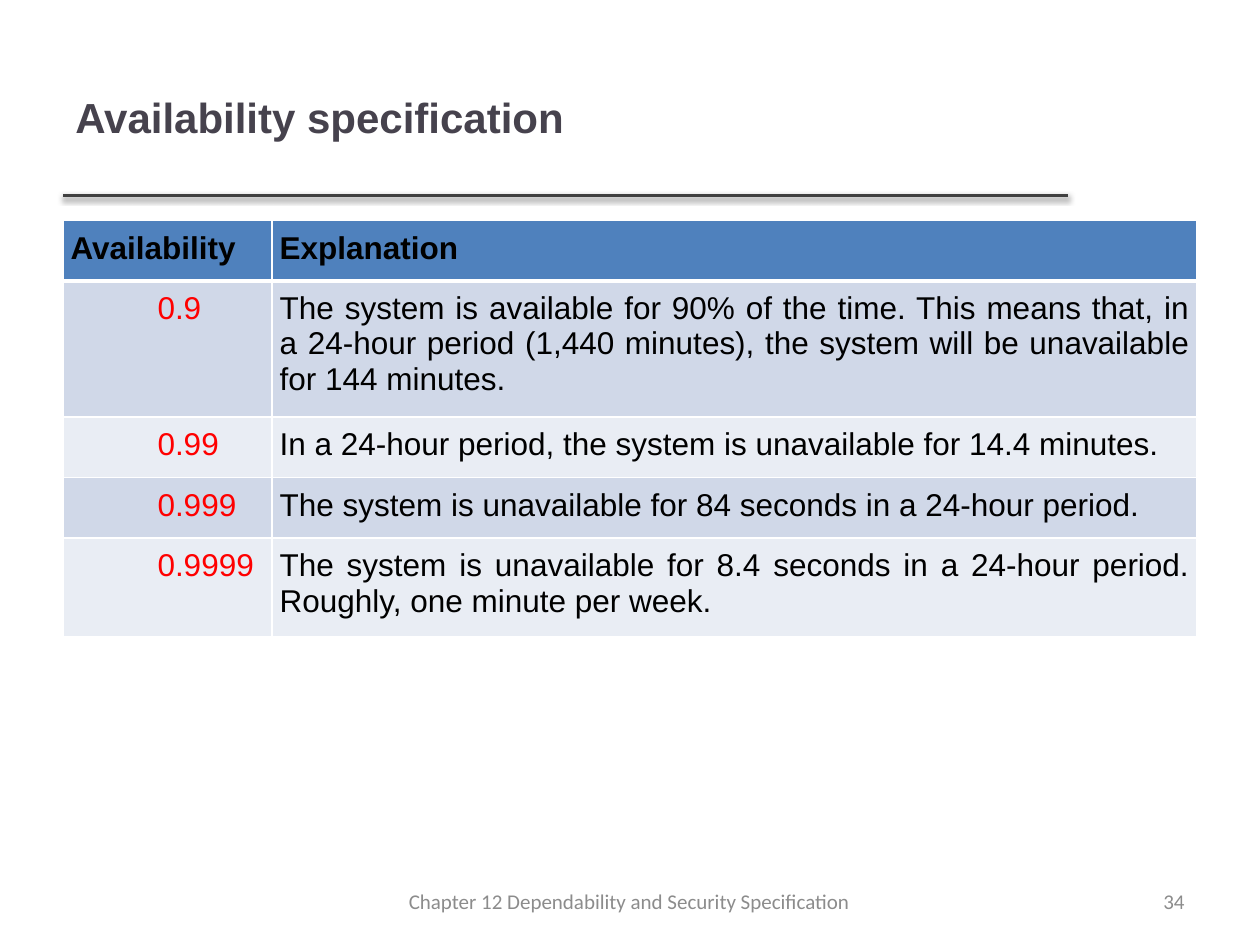
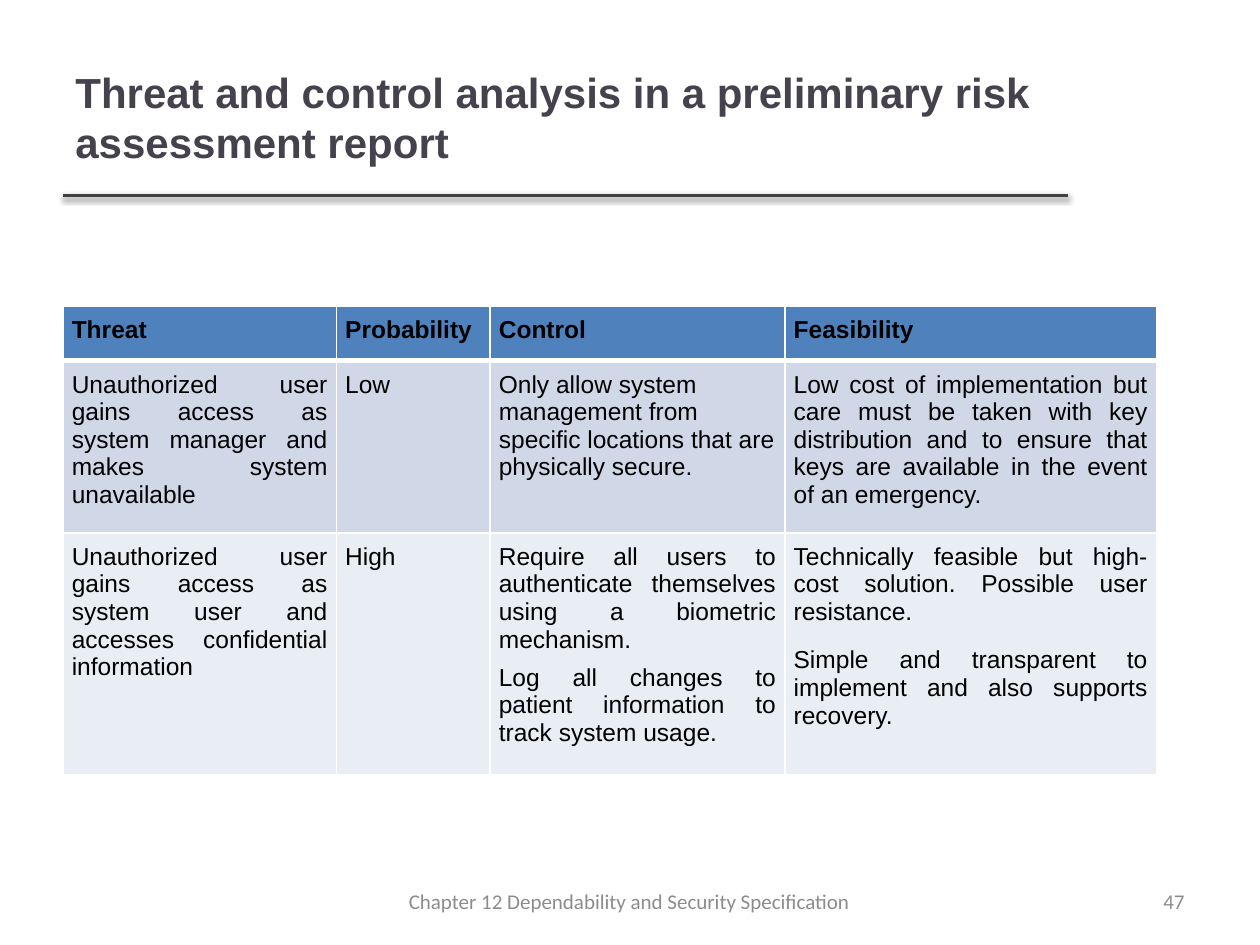
from lxml import etree
from pptx import Presentation, util as u
from pptx.dml.color import RGBColor
from pptx.enum import shapes, text
from pptx.oxml import parse_xml
from pptx.oxml.ns import nsdecls, qn

COLORS = {
    "title": "46424D", "rule": "404040", "footer": "8C8C8C", "text": "000000",
    "value": "FF0000", "border": "FFFFFF", "header": "4F81BD",
    "odd": "D0D8E8", "even": "E9EDF4",
}
LEFT = text.PP_ALIGN.LEFT
CENTER = text.PP_ALIGN.CENTER
RIGHT = text.PP_ALIGN.RIGHT
JUSTIFY = text.PP_ALIGN.JUSTIFY
FOOTER = "Chapter 12 Dependability and Security Specification"

AVAILABILITY = [
    ["Availability", "Explanation"],
    ["0.9", "The system is available for 90% of the time. This means that, in a "
            "24-hour period (1,440 minutes), the system will be unavailable for 144 minutes."],
    ["0.99", "In a 24-hour period, the system is unavailable for 14.4 minutes."],
    ["0.999", "The system is unavailable for 84 seconds in a 24-hour period."],
    ["0.9999", "The system is unavailable for 8.4 seconds in a 24-hour period. "
               "Roughly, one minute per week."],
]
THREATS = [
    ["Threat", "Probability", "Control", "Feasibility"],
    ["Unauthorized user gains access as system manager and makes system unavailable",
     "Low",
     "Only allow system management from specific locations that are physically secure.",
     "Low cost of implementation but care must be taken with key distribution and to "
     "ensure that keys are available in the event of an emergency."],
    ["Unauthorized user gains access as system user and accesses confidential information",
     "High",
     "Require all users to authenticate themselves using a biometric mechanism.\n"
     "Log all changes to patient information to track system usage.",
     "Technically feasible but high-cost solution. Possible user resistance.\n"
     "Simple and transparent to implement and also supports recovery."],
]


def style(paragraph, size, color, font="Arial", bold=False, align=LEFT):
    paragraph.alignment = align
    paragraph.font.size = u.Pt(size)
    paragraph.font.name = font
    paragraph.font.bold = bold
    paragraph.font.color.rgb = RGBColor.from_string(COLORS[color])


def add_text(slide, box, words, *args, **kwargs):
    frame = slide.shapes.add_textbox(*map(u.Inches, box)).text_frame
    frame.word_wrap = True
    frame.vertical_anchor = text.MSO_ANCHOR.MIDDLE
    frame.text = words
    style(frame.paragraphs[0], *args, **kwargs)


def add_title(slide, box, title):
    """Title with a shadowed rule along the bottom of its box."""
    left, top, width, height = box
    bottom = u.Inches(top + height)
    rule = slide.shapes.add_connector(shapes.MSO_CONNECTOR.STRAIGHT, u.Inches(left), bottom,
                                      u.Inches(left + width), bottom)
    rule.line.width = u.Pt(2)
    rule.line.color.rgb = RGBColor.from_string(COLORS["rule"])
    rule._element.spPr.append(parse_xml(
        f'<a:effectLst {nsdecls("a")}><a:outerShdw blurRad="{u.Pt(3.1)}" dist="{u.Pt(1.6)}" '
        'dir="5400000" rotWithShape="0"><a:srgbClr val="000000"><a:alpha val="38000"/>'
        '</a:srgbClr></a:outerShdw></a:effectLst>'))
    add_text(slide, box, title, 24, "title", bold=True)


def add_footer(slide, top, number):
    add_text(slide, (7.17, top, 2.33, 0.4), str(number), 12, "footer", "Calibri", align=RIGHT)
    add_text(slide, (2.83, top, 4.33, 0.4), FOOTER, 12, "footer", "Calibri", align=CENTER)


def set_borders(cell, row):
    """White cell lines, thicker between the header and the body."""
    widths = {"lnL": 1, "lnR": 1, "lnT": 3 if row == 1 else 1, "lnB": 3 if row == 0 else 1}
    properties = cell._tc.get_or_add_tcPr()
    for side, width in widths.items():
        line = etree.SubElement(properties, qn(f"a:{side}"), w=str(u.Pt(width)))
        fill = etree.SubElement(line, qn("a:solidFill"))
        etree.SubElement(fill, qn("a:srgbClr"), val=COLORS["border"])


def add_table(slide, corner, columns, rows, margins, style_cell):
    """Table with a header; style_cell formats the text of one cell."""
    left, top = corner
    row_height = 0.41
    box = (left, top, sum(columns), row_height * len(rows))
    table = slide.shapes.add_table(len(rows), len(columns), *map(u.Inches, box)).table
    table.first_row = table.horz_banding = False
    for column, width in zip(table.columns, columns):
        column.width = u.Inches(width)
    for r, row in enumerate(rows):
        table.rows[r].height = u.Inches(row_height)
        fill = "header" if r == 0 else "odd" if r % 2 else "even"
        for c, words in enumerate(row):
            cell = table.cell(r, c)
            set_borders(cell, r)
            cell.fill.solid()
            cell.fill.fore_color.rgb = RGBColor.from_string(COLORS[fill])
            side, over, under = margins
            cell.margin_left = cell.margin_right = u.Inches(side)
            cell.margin_top, cell.margin_bottom = u.Inches(over), u.Inches(under)
            cell.text_frame.text = words
            style_cell(cell.text_frame.paragraphs, r, c)


def style_availability(paragraphs, row, column):
    is_value = row > 0 and column == 0
    for paragraph in paragraphs:
        if is_value:
            properties = paragraph._p.get_or_add_pPr()
            properties.set("marL", "0")
            properties.set("indent", str(u.Inches(0.69)))
        style(paragraph, 18, "value" if is_value else "text", bold=row == 0,
              align=JUSTIFY if column else LEFT)


def style_threat(paragraphs, row, column):
    align = LEFT if (row, column) == (1, 2) else JUSTIFY
    for paragraph in paragraphs:
        style(paragraph, 14, "text", bold=row == 0, align=align)
    for paragraph in paragraphs[1:]:
        paragraph.space_before = u.Pt(12 if column == 3 else 6)


def add_table_slide(presentation, title, number, *table):
    slide = presentation.slides.add_slide(presentation.slide_layouts[6])
    add_title(slide, (0.5, 0.3, 7.98, 1.25), title)
    add_table(slide, *table)
    add_footer(slide, 6.95, number)


def main():
    presentation = Presentation()
    presentation.slide_width, presentation.slide_height = u.Inches(10), u.Inches(7.5)
    add_table_slide(presentation, "Availability specification", 34, (0.5, 1.75),
                    (1.66, 7.34), AVAILABILITY, (0.06, 0.08, 0.1), style_availability)
    add_table_slide(presentation,
                    "Threat and control analysis in a preliminary risk assessment report",
                    47, (0.5, 2.43), (2.17, 1.22, 2.34, 2.95), THREATS, (0.07, 0.08, 0.12),
                    style_threat)
    presentation.save("out.pptx")


if __name__ == "__main__":
    main()
